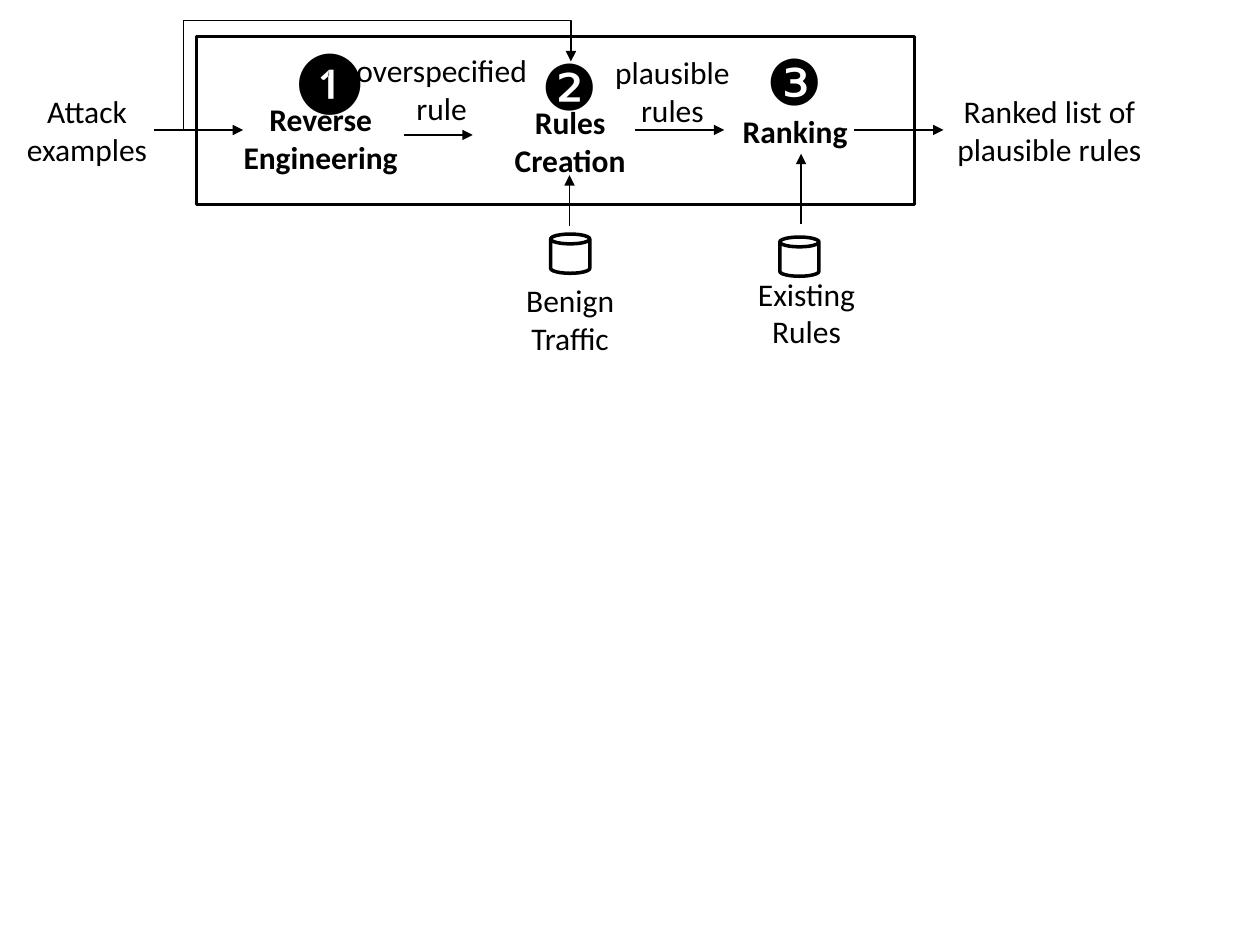
"""Build the slide showing the three-step rule generation pipeline."""
from lxml import etree
from pptx import Presentation
from pptx.dml.color import RGBColor
from pptx.enum.shapes import MSO_CONNECTOR, MSO_SHAPE
from pptx.enum.text import MSO_AUTO_SIZE, PP_ALIGN
from pptx.oxml.ns import qn
from pptx.util import Cm, Pt

STRAIGHT, ELBOW = MSO_CONNECTOR.STRAIGHT, MSO_CONNECTOR.ELBOW
CAN, RECTANGLE = MSO_SHAPE.CAN, MSO_SHAPE.RECTANGLE
LEFT, CENTER = PP_ALIGN.LEFT, PP_ALIGN.CENTER
FIT_SHAPE = MSO_AUTO_SIZE.SHAPE_TO_FIT_TEXT

THEME = {
    "ink": RGBColor(0, 0, 0),
    "paper": RGBColor(255, 255, 255),
    "outline": Pt(2),
    "arrow": Pt(0.75),
    "body": {"name": "Calibri", "size": Pt(18), "bold": False},
    "step": {"name": "Calibri", "size": Pt(18), "bold": True},
    "first_number": {"name": "Calibri", "size": Pt(36), "bold": False},
    "number": {"name": "Arial", "size": Pt(36), "bold": False},
}
TWO_LINES, ONE_LINE = 1.8, 1.02
CAN_SIZE = 0.79


def add_label(shapes, lines, box, style, alignment=CENTER, wrap=False):
    """Add a text box with one paragraph per line."""
    text_box = shapes.add_textbox(*map(Cm, box))
    frame = text_box.text_frame
    frame.word_wrap = wrap
    frame.auto_size = FIT_SHAPE
    frame.text = "\n".join(lines)
    for paragraph in frame.paragraphs:
        paragraph.alignment = alignment
        font = paragraph.runs[0].font
        for attribute, value in THEME[style].items():
            setattr(font, attribute, value)
        font.color.rgb = THEME["ink"]


def add_outlined(shapes, kind, box):
    """Add an unfilled preset shape with the thick outline."""
    shape = shapes.add_shape(kind, *map(Cm, box))
    shape.shadow.inherit = False
    shape.fill.background()
    shape.line.color.rgb = THEME["ink"]
    shape.line.width = THEME["outline"]
    return shape


presentation = Presentation()
presentation.slide_width, presentation.slide_height = Cm(25.4), Cm(19.05)
slide = presentation.slides.add_slide(presentation.slide_layouts[6])

add_outlined(slide.shapes, RECTANGLE, (3.96, 0.74, 14.48, 3.38))

data_stores = [
    (["Benign", "Traffic"], (10.34, 5.54, 2.31, TWO_LINES), (11.1, 4.72)),
    (["Existing", "Rules"], (14.94, 5.41, 2.64, TWO_LINES), (15.72, 4.78)),
]
for lines, label_box, can_corner in data_stores:
    group = slide.shapes.add_group_shape()
    add_label(group.shapes, lines, label_box, "body")
    can = add_outlined(group.shapes, CAN, (*can_corner, CAN_SIZE, CAN_SIZE))
    can.fill.solid()
    can.fill.fore_color.rgb = THEME["paper"]

numbers = [
    ("❶", 5.56, 0.71, "first_number"),
    ("❷", 10.67, 0.84, "number"),
    ("❸", 15.21, 0.74, "number"),
]
for number, left, top, style in numbers:
    add_label(slide.shapes, [number], (left, top, 1.65, TWO_LINES), style, LEFT)

steps = [
    (["Reverse", "Engineering"], (4.65, 1.9, 3.63, TWO_LINES)),
    (["Rules", "Creation"], (10.11, 1.96, 2.77, TWO_LINES)),
    (["Ranking"], (14.71, 2.13, 2.64, ONE_LINE)),
]
for lines, box in steps:
    add_label(slide.shapes, lines, box, "step")

flow_labels = [
    ("Attack examples", -0.38, 1.73, 4.27),
    ("overspecified rule", 6.91, 0.91, 3.99),
    ("plausible rules", 11.51, 0.94, 4.09),
    ("Ranked list of plausible rules", 18.49, 1.73, 5.33),
]
for text, left, top, width in flow_labels:
    add_label(slide.shapes, [text], (left, top, width, TWO_LINES), "body", wrap=True)

arrows = [
    (STRAIGHT, 3.1, 2.62, 4.9, 2.62),
    (STRAIGHT, 8.15, 2.72, 9.53, 2.72),
    (STRAIGHT, 12.8, 2.62, 14.6, 2.62),
    (STRAIGHT, 17.22, 2.62, 19.02, 2.62),
    (STRAIGHT, 11.48, 4.55, 11.48, 3.53),
    (STRAIGHT, 16.15, 4.52, 16.15, 3.1),
    (ELBOW, 3.71, 2.62, 11.51, 1.24),
]
for kind, *ends in arrows:
    connector = slide.shapes.add_connector(kind, *map(Cm, ends))
    connector.line.color.rgb = THEME["ink"]
    connector.line.width = THEME["arrow"]
    properties = connector._element.spPr
    etree.SubElement(properties.find(qn("a:ln")), qn("a:tailEnd"), type="triangle")
    etree.SubElement(properties, qn("a:effectLst"))
    if kind == ELBOW:
        geometry = properties.find(qn("a:prstGeom"))
        geometry.set("prst", "bentConnector4")
        adjustments = geometry.find(qn("a:avLst"))
        for name, value in (("adj1", -200), ("adj2", 160100)):
            etree.SubElement(adjustments, qn("a:gd"), name=name, fmla=f"val {value}")

presentation.save("out.pptx")
